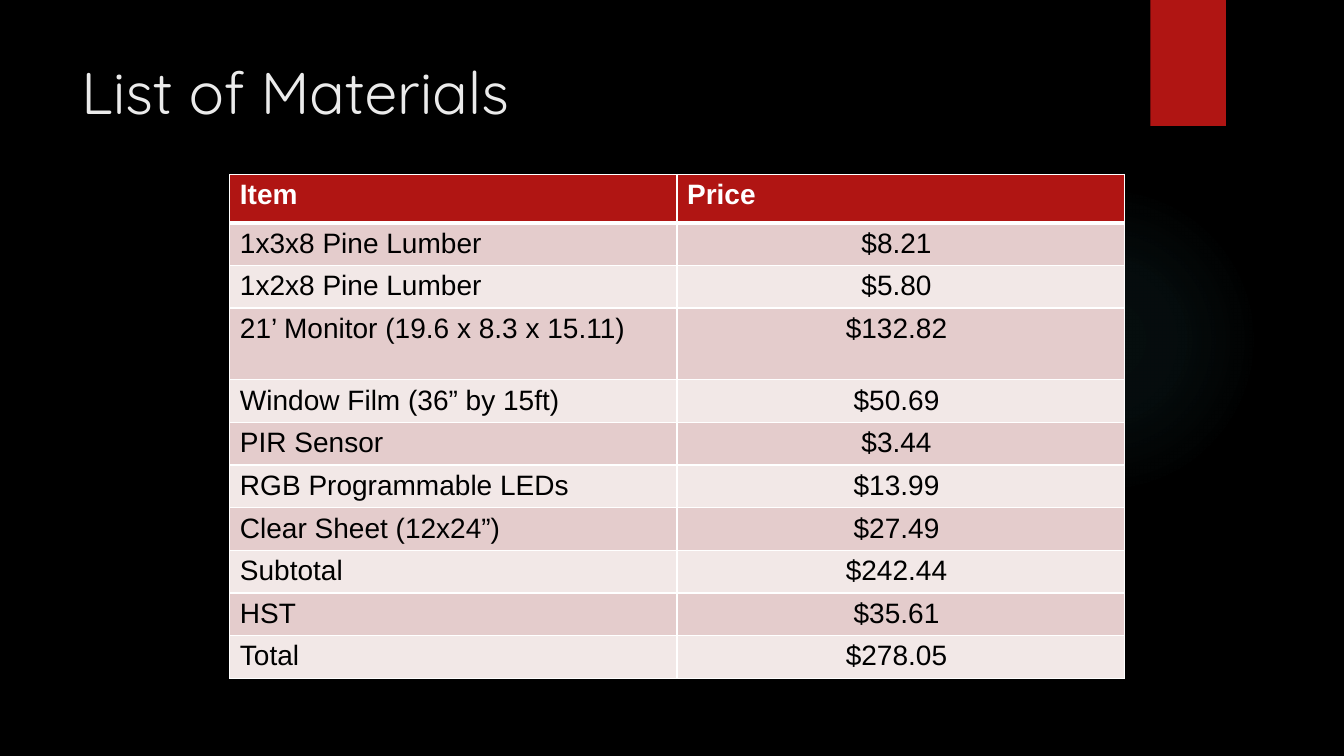
from pptx import Presentation
from pptx.dml.color import RGBColor
from pptx.enum.shapes import MSO_SHAPE
from pptx.enum.text import MSO_ANCHOR, PP_ALIGN
from pptx.oxml import parse_xml
from pptx.oxml.ns import nsdecls
from pptx.util import Inches, Pt

LEFT, CENTER = PP_ALIGN.LEFT, PP_ALIGN.CENTER
TOP = MSO_ANCHOR.TOP
RECTANGLE, OVAL = MSO_SHAPE.RECTANGLE, MSO_SHAPE.OVAL

# Content
TITLE = "List of Materials"
HEADER = ("Item", "Price")
MATERIALS = [
    ("1x3x8 Pine Lumber", "$8.21"),
    ("1x2x8 Pine Lumber", "$5.80"),
    ("21’ Monitor (19.6 x 8.3 x 15.11)", "$132.82"),
    ("Window Film (36” by 15ft)", "$50.69"),
    ("PIR Sensor", "$3.44"),
    ("RGB Programmable LEDs", "$13.99"),
    ("Clear Sheet (12x24”)", "$27.49"),
    ("Subtotal", "$242.44"),
    ("HST", "$35.61"),
    ("Total", "$278.05"),
]
MONITOR_ROW = 3

THEME = {
    "background": "000000", "accent": "B01513", "title": "EBEBEB",
    "header_text": "FFFFFF", "body_text": "000000", "border": "FFFFFF",
    "bands": ("E4CCCC", "F2E8E7"), "glow": "50B9C1",
    "title_font": "Quicksand", "table_font": "Arial",
    "title_size": 42, "table_size": 20,
}
GLOW_STOPS = [(0, 7), (36, 6), (69, 0), (100, 0)]  # position %, opacity %

# Layout in inches
TABLE_LEFT, TABLE_TOP, TABLE_WIDTH, TABLE_HEIGHT = 2.28, 1.73, 8.87, 5.0
HEADER_HEIGHT, MONITOR_HEIGHT = 0.48, 0.71
BODY_HEIGHT = (TABLE_HEIGHT - HEADER_HEIGHT - MONITOR_HEIGHT) / (len(MATERIALS) - 1)
PRICE_RIGHT_MARGIN, CELL_BOTTOM_MARGIN = 0.18, 0.03


def color(name):
    return RGBColor.from_string(name)


def write(frame, text, *, size, font, ink, bold=False, align=LEFT):
    para = frame.paragraphs[0]
    para.alignment = align
    span = para.add_run()
    span.text = text
    span.font.size = Pt(size)
    span.font.name = font
    span.font.bold = bold
    span.font.color.rgb = color(ink)


def add_shape(page, kind, left, top, width, height):
    shape = page.shapes.add_shape(
        kind, Inches(left), Inches(top), Inches(width), Inches(height))
    shape.shadow.inherit = False
    shape.line.fill.background()
    return shape


def fill_glow(shape):
    stops = "".join(
        f'<a:gs pos="{position * 1000}"><a:srgbClr val="{THEME["glow"]}">'
        f'<a:alpha val="{opacity * 1000}"/></a:srgbClr></a:gs>'
        for position, opacity in GLOW_STOPS)
    gradient = parse_xml(
        f'<a:gradFill {nsdecls("a")} rotWithShape="1"><a:gsLst>{stops}</a:gsLst>'
        '<a:path path="circle"><a:fillToRect l="50000" t="50000" r="50000" b="50000"/>'
        '</a:path></a:gradFill>')
    shape.line._ln.addprevious(gradient)


def set_borders(cell, bottom):
    properties = cell._tc.get_or_add_tcPr()
    widths = {"lnL": 1, "lnR": 1, "lnT": 1, "lnB": bottom}
    for index, (side, width) in enumerate(widths.items()):
        properties.insert(index, parse_xml(
            f'<a:{side} {nsdecls("a")} w="{Pt(width)}"><a:solidFill>'
            f'<a:srgbClr val="{THEME["border"]}"/></a:solidFill></a:{side}>'))


def add_materials(page):
    rows = [HEADER] + MATERIALS
    table = page.shapes.add_table(
        len(rows), len(HEADER), Inches(TABLE_LEFT), Inches(TABLE_TOP),
        Inches(TABLE_WIDTH), Inches(TABLE_HEIGHT)).table
    for column in table.columns:
        column.width = Inches(TABLE_WIDTH / len(HEADER))
    heights = {0: HEADER_HEIGHT, MONITOR_ROW: MONITOR_HEIGHT}
    for row, values in enumerate(rows):
        is_header = row == 0
        table.rows[row].height = Inches(heights.get(row, BODY_HEIGHT))
        for column, text in enumerate(values):
            cell = table.cell(row, column)
            is_price = column == 1 and not is_header
            fill = THEME["accent"] if is_header else THEME["bands"][(row - 1) % 2]
            cell.fill.solid()
            cell.fill.fore_color.rgb = color(fill)
            set_borders(cell, bottom=3 if is_header else 1)
            cell.margin_bottom = Inches(CELL_BOTTOM_MARGIN)
            if is_price:
                cell.margin_right = Inches(PRICE_RIGHT_MARGIN)
            write(cell.text_frame, text, size=THEME["table_size"],
                  font=THEME["table_font"], bold=is_header,
                  ink=THEME["header_text" if is_header else "body_text"],
                  align=CENTER if is_price else LEFT)


def main():
    deck = Presentation()
    deck.slide_width, deck.slide_height = Inches(13.33), Inches(7.5)
    page = deck.slides.add_slide(deck.slide_layouts[6])
    page.background.fill.solid()
    page.background.fill.fore_color.rgb = color(THEME["background"])

    # Soft glow and red ribbon
    fill_glow(add_shape(page, OVAL, 9.41, 1.83, 3.08, 3.08))
    ribbon = add_shape(page, RECTANGLE, 11.41, 0, 0.75, 1.25)
    ribbon.fill.solid()
    ribbon.fill.fore_color.rgb = color(THEME["accent"])

    # Title
    box = page.shapes.add_textbox(Inches(0.71), Inches(0.5), Inches(10.29), Inches(1.53))
    box.text_frame.word_wrap = True
    box.text_frame.vertical_anchor = TOP
    write(box.text_frame, TITLE, size=THEME["title_size"],
          font=THEME["title_font"], ink=THEME["title"])

    # Price table
    add_materials(page)
    deck.save("out.pptx")


if __name__ == "__main__":
    main()
